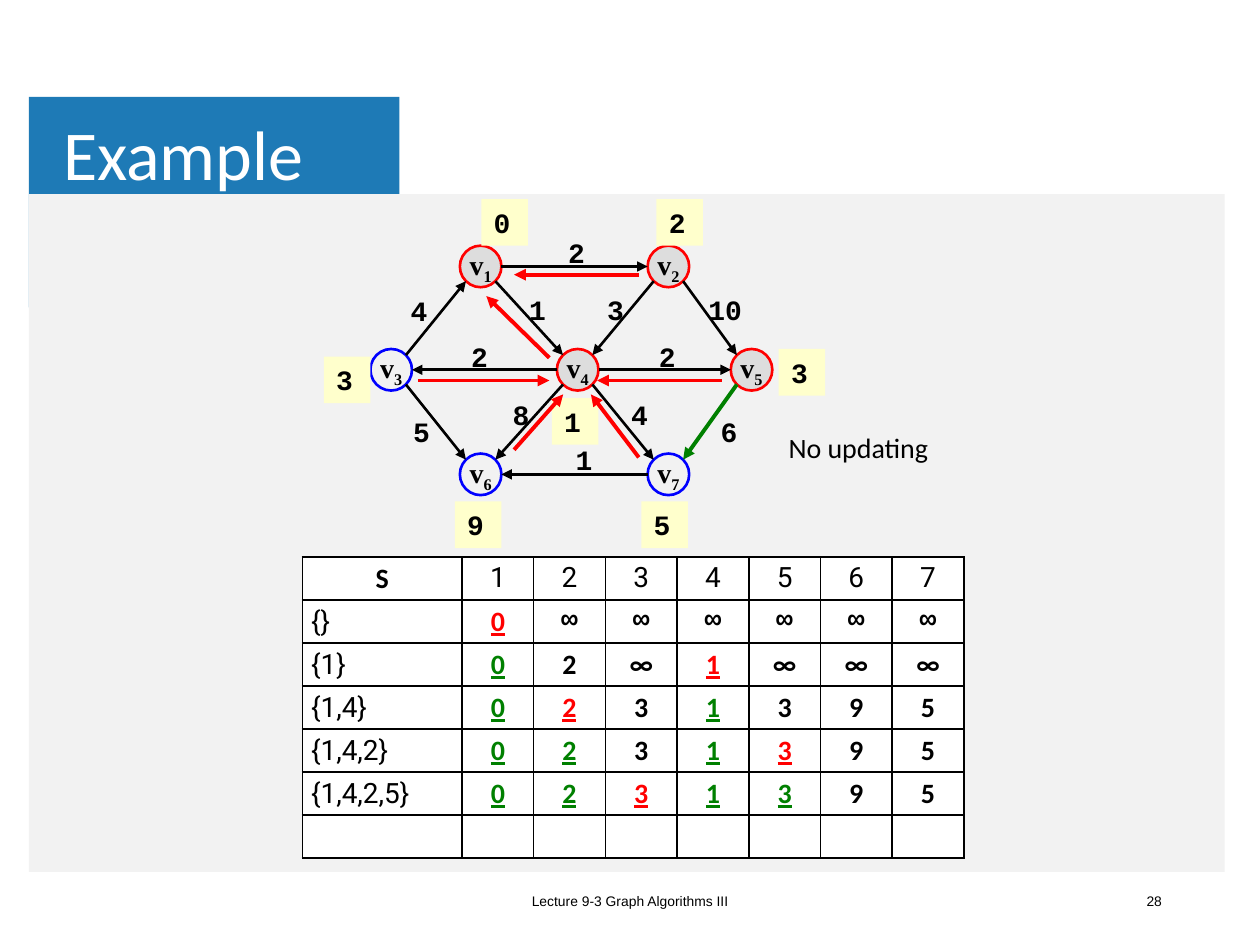
import lxml.etree
import pptx
import pptx.dml.color
import pptx.enum.shapes
import pptx.enum.text
import pptx.oxml.ns
import pptx.util

RGB = pptx.dml.color.RGBColor
BLACK, WHITE = RGB(0, 0, 0), RGB(255, 255, 255)
RED, GREEN, BLUE = RGB(255, 0, 0), RGB(0, 128, 0), RGB(0, 0, 255)
SKY, PALE = RGB(0x1E, 0x7A, 0xB6), RGB(0xF2, 0xF2, 0xF2)
GREY, CREAM = RGB(0xDD, 0xDD, 0xDD), RGB(255, 255, 0xCC)
WIDE, HIGH = pptx.util.Inches(10), pptx.util.Inches(7.5)
COLS = 100
CELL = WIDE // COLS
ALIGN = pptx.enum.text.PP_ALIGN
ANCHOR = pptx.enum.text.MSO_ANCHOR
SHAPE = pptx.enum.shapes.MSO_SHAPE
MONO, SANS, SERIF, LABEL = "Courier New", "Calibri", "Times New Roman", "Roboto"

RADIUS = 1.65
SIDE = 3.7
NODES = {1: (12.45, 5.35), 2: (27.35, 5.35), 3: (5.35, 13.55), 4: (20.15, 13.55),
         5: (33.95, 13.55), 6: (12.45, 21.85), 7: (27.35, 21.85)}
DONE = (1, 4, 2, 5)
EDGES = [(1, 2, "2", 18.3, 2.4), (1, 4, "1", 15.2, 6.9), (2, 4, "3", 21.4, 6.9),
         (2, 5, "10", 29.5, 6.9), (3, 1, "4", 5.8, 7), (3, 6, "5", 6, 16.6),
         (4, 3, "2", 10.6, 10.6), (4, 5, "2", 25.5, 10.6), (4, 6, "8", 13.9, 15.2),
         (4, 7, "4", 23.3, 15.2), (5, 7, "6", 30.4, 16.6), (7, 6, "1", 18.9, 18.8)]
COSTS = [("0", 12.5, 0), ("2", 26.4, 0), ("3", 0, 12.5), ("3", 36.1, 11.9),
         ("1", 18.1, 15.8), ("9", 10.4, 24), ("5", 25.2, 24)]
BACK = [(31.6, 14.4, 21.7, 14.4), (25, 20.5, 21.2, 15.5), (15.1, 19.9, 19, 15.5),
        (7.5, 14.4, 17.9, 14.4), (17.9, 12.6, 12.9, 7.7), (25, 6, 15.1, 6)]
PICKS = (1, 4, 2, 5, 3)
STEPS = ["0 ∞ ∞ ∞ ∞ ∞ ∞", "0 2 ∞ 1 ∞ ∞ ∞", "0 2 3 1 3 9 5", "0 2 3 1 3 9 5", "0 2 3 1 3 9 5"]


def span(*sizes):
    """Turn grid cells into lengths."""
    return [round(size * CELL) for size in sizes]


def write(para, text, size, face, tint=BLACK, bold=False, line=None):
    """Add one run to a paragraph."""
    run = para.add_run()
    run.text = text
    font = run.font
    font.size, font.name, font.bold, font.underline = pptx.util.Pt(size), face, bold, line
    font.color.rgb = tint
    return run


def label(slide, box, text, size, face, align=ALIGN.LEFT, mid=True, bold=False, wrap=True):
    """Place a text box."""
    frame = slide.shapes.add_textbox(*span(*box)).text_frame
    frame.word_wrap = wrap
    frame.vertical_anchor = ANCHOR.MIDDLE if mid else ANCHOR.TOP
    frame.paragraphs[0].alignment = align
    write(frame.paragraphs[0], text, size, face, bold=bold)


def block(slide, kind, box, fill=None, edge=None):
    """Place a preset shape."""
    shape = slide.shapes.add_shape(kind, *span(*box))
    shape.shadow.inherit = False
    if fill is None:
        shape.fill.background()
    else:
        shape.fill.solid()
        shape.fill.fore_color.rgb = fill
    if edge is None:
        shape.line.fill.background()
    else:
        shape.line.color.rgb, shape.line.width = edge, pptx.util.Pt(1.5)
    return shape


def arrow(slide, ends, tint, width):
    """Draw a line with an arrowhead at its end."""
    link = slide.shapes.add_connector(pptx.enum.shapes.MSO_CONNECTOR.STRAIGHT, *span(*ends))
    link.line.color.rgb, link.line.width = tint, pptx.util.Pt(width)
    qn = pptx.oxml.ns.qn
    lxml.etree.SubElement(link.line._get_or_add_ln(), qn("a:tailEnd"), type="triangle")
    lxml.etree.SubElement(link._element.spPr, qn("a:effectLst"))


def frame(slide, left, top, width, height):
    """Place the title tab, the panel, the title and the footer."""
    block(slide, SHAPE.RECTANGLE, (left, top - 7.7, 29.4, 16.7), SKY)
    block(slide, SHAPE.RECTANGLE, (left, top, width, height), PALE)
    title = slide.shapes.title
    slide.shapes._spTree.append(title._element)
    title.left, title.top, title.width, title.height = span(left + 2, top - 7.8, 80.3, 9.8)
    text = title.text_frame
    text.vertical_anchor = ANCHOR.MIDDLE
    text.margin_left, text.margin_right, text.margin_top, text.margin_bottom = span(.7, .7, .4, .4)
    para = text.paragraphs[0]
    para.alignment, para.line_spacing = ALIGN.LEFT, .9
    write(para, "Example", 40, SANS, WHITE)
    foot = top + height + .3
    label(slide, (33.1, foot, 33.8, 4), "Lecture 9-3 Graph Algorithms III", 7.9, "Arial", ALIGN.CENTER)
    label(slide, (70.7, foot, 22.5, 4), "28", 7.9, "Arial", ALIGN.RIGHT)


def sign(num):
    """Return -1, 0 or 1."""
    return (num > 0) - (num < 0)


def rims(start, end):
    """Find where an edge leaves one node and meets the next."""
    (ax, ay), (bx, by) = NODES[start], NODES[end]
    dx, dy = sign(bx - ax), sign(by - ay)
    reach = RADIUS / (dx * dx + dy * dy) ** .5
    return ax + dx * reach, ay + dy * reach, bx - dx * reach, by - dy * reach


def graph(slide, left, top):
    """Draw the weighted graph with its costs and back arrows."""
    for num, (x, y) in NODES.items():
        box = (left + x - RADIUS, top + y - RADIUS, 2 * RADIUS, 2 * RADIUS)
        done = num in DONE
        node = block(slide, SHAPE.OVAL, box, GREY if done else None, RED if done else BLUE)
        text = node.text_frame
        text.word_wrap, text.vertical_anchor = False, ANCHOR.MIDDLE
        para = text.paragraphs[0]
        para.alignment = ALIGN.CENTER
        write(para, "v", 16, SERIF, bold=True)
        sub = write(para, str(num), 16, SERIF, bold=True)
        sub.font._element.set("baseline", "-25000")
    shift = (left, top, left, top)
    for start, end, cost, x, y in EDGES:
        live = (start, end) == (5, 7)
        ends = map(sum, zip(rims(start, end), shift))
        arrow(slide, ends, GREEN if live else BLACK, 2.25 if live else 1.5)
    for start, end, cost, x, y in EDGES:
        box = (left + x, top + y, 2.3 + 1.2 * len(cost), SIDE)
        label(slide, box, cost, 16, MONO, ALIGN.CENTER, bold=True, wrap=False)
    for cost, x, y in COSTS:
        tag = block(slide, SHAPE.RECTANGLE, (left + x, top + y, SIDE, SIDE), CREAM)
        tag.text_frame.vertical_anchor = ANCHOR.TOP
        para = tag.text_frame.paragraphs[0]
        para.alignment = ALIGN.LEFT
        write(para, cost, 16, MONO, bold=True)
    for ends in BACK:
        arrow(slide, map(sum, zip(ends, shift)), RED, 2.25)
    label(slide, (left + 35.9, top + 17.9, 15.8, SIDE), "No updating", 16, SANS, mid=False)


def rule(cell):
    """Give a cell black borders and a white fill."""
    props = cell._tc.get_or_add_tcPr()
    for side in "LRTB":
        line = lxml.etree.SubElement(props, pptx.oxml.ns.qn("a:ln" + side), w="12700")
        fill = lxml.etree.SubElement(line, pptx.oxml.ns.qn("a:solidFill"))
        lxml.etree.SubElement(fill, pptx.oxml.ns.qn("a:srgbClr"), val=str(BLACK))
    cell.fill.solid()
    cell.fill.fore_color.rgb = WHITE


def style(row, col, text):
    """Choose the face, colour, weight and underline of a cell."""
    if row == 0 or col == 0:
        head = row == col
        return SANS if head else LABEL, BLACK, head, None
    if col in PICKS[:row]:
        return SANS, RED if col == PICKS[row - 1] else GREEN, True, True
    return MONO if row == 1 else SANS, BLACK, True, None


def steps(slide, left, top, width, height):
    """Build the table of distances after each pick."""
    rows = [["S", *"1234567"]]
    for num, line in enumerate(STEPS):
        rows.append(["{" + ",".join(map(str, PICKS[:num])) + "}", *line.split()])
    rows.append([""] * 8)
    grid = slide.shapes.add_table(len(rows), 8, *span(left, top, width, height)).table
    grid.first_row = grid.horz_banding = False
    for num, col in enumerate(grid.columns):
        col.width = span(5.69 if num else width - 7 * 5.69)[0]
    for r, row in enumerate(rows):
        for c, text in enumerate(row):
            cell = grid.cell(r, c)
            rule(cell)
            cell.margin_left, cell.margin_right, cell.margin_top, cell.margin_bottom = span(.7, .7, .36, .36)
            cell.vertical_anchor = ANCHOR.MIDDLE if r else ANCHOR.TOP
            para = cell.text_frame.paragraphs[0]
            para.alignment = ALIGN.LEFT if r and not c else ALIGN.CENTER
            if text:
                face, tint, bold, under = style(r, c, text)
                write(para, text, 16, face, tint, bold, under)
            else:
                lxml.etree.SubElement(para._p, pptx.oxml.ns.qn("a:endParaRPr"), sz="1200")


def main():
    """Build and save the slide."""
    deck = pptx.Presentation()
    deck.slide_width, deck.slide_height = WIDE, HIGH
    slide = deck.slides.add_slide(deck.slide_layouts[5])
    frame(slide, 2.3, 15.4, 94.9, 53.8)
    graph(slide, 25.7, 15.8)
    steps(slide, 24, 44.2, 52.5, 23.9)
    deck.save("out.pptx")


if __name__ == "__main__":
    main()
